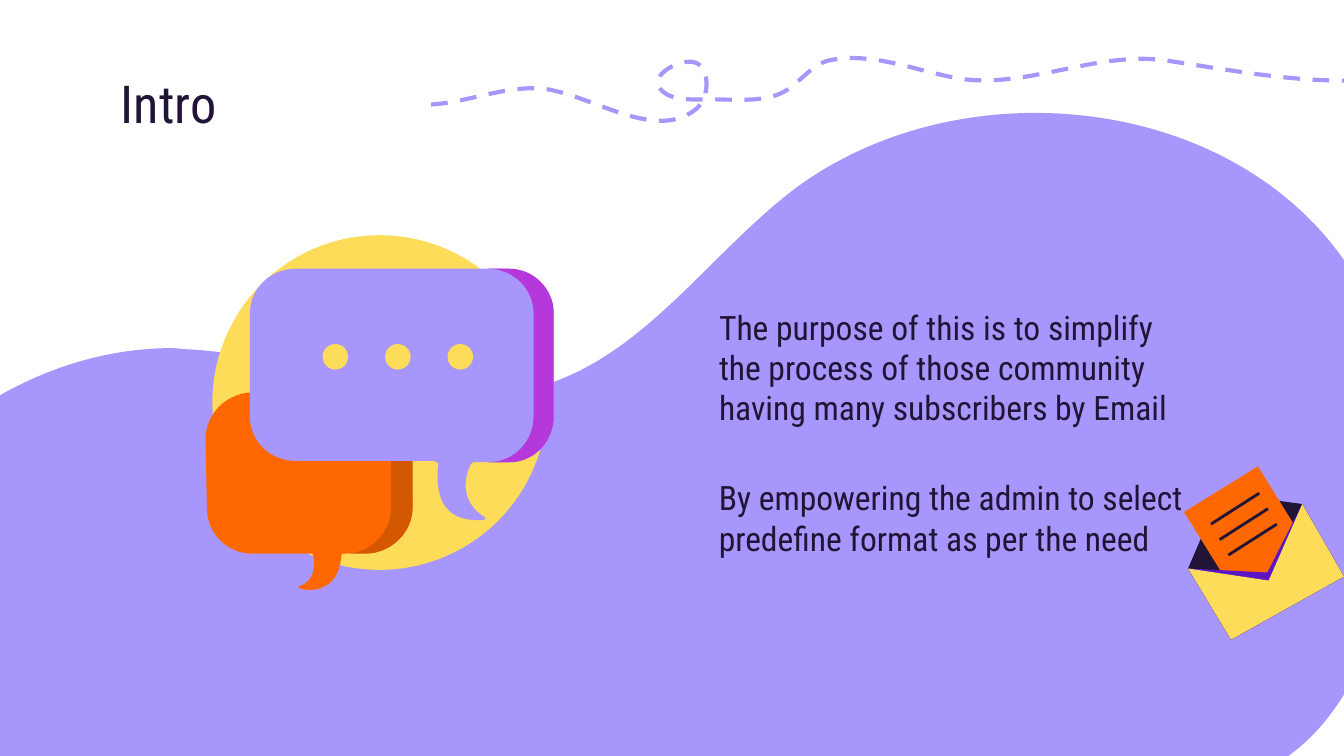
import dataclasses
from typing import Optional

import lxml.etree
import pptx
import pptx.dml.color
import pptx.enum.dml
import pptx.enum.shapes
import pptx.enum.text
import pptx.oxml.ns
import pptx.shapes.autoshape
import pptx.slide
import pptx.text.text
import pptx.util

RGBColor = pptx.dml.color.RGBColor
LAVENDER = RGBColor(0xA7, 0x97, 0xFC)
YELLOW = RGBColor(0xFC, 0xDC, 0x59)
ORANGE = RGBColor(0xFF, 0x67, 0x00)
RUST = RGBColor(0xD4, 0x57, 0x02)
MAGENTA = RGBColor(0xB5, 0x39, 0xDA)
VIOLET = RGBColor(0x5C, 0x14, 0xC4)
INK = RGBColor(0x21, 0x14, 0x36)

FONT = "Roboto Condensed"
WIDTH = pptx.util.Inches(10)
HEIGHT = pptx.util.Inches(5.625)
COLUMNS = 1000
CELL = WIDTH // COLUMNS  # the grid is square: a row is as high as a column is wide


@dataclasses.dataclass(frozen=True)
class Outline:
    """A start, then steps of two numbers (line) or six (cubic curve), in cells."""
    start: tuple[float, float]
    steps: list[tuple[float, ...]]
    fill: Optional[RGBColor] = None


@dataclasses.dataclass(frozen=True)
class Box:
    left: float
    top: float
    width: float
    height: float

    def lengths(self) -> list[int]:
        return [round(value * CELL) for value in dataclasses.astuple(self)]


WAVE = Outline((770, 84), [
    (864, 84, 957, 124, 1007, 204), (1066, 300, 1052, 534, 929, 578),
    (920, 581, 909, 583, 897, 583), (874, 583, 846, 578, 828, 578),
    (-49, 578), (-49, 329), (0, 286, 63, 259, 128, 259),
    (132, 259, 137, 260, 142, 260), (212, 264, 281, 295, 349, 295),
    (366, 295, 383, 293, 400, 288), (479, 266, 527, 189, 592, 140),
    (642, 103, 706, 84, 770, 84)], LAVENDER)

BUBBLES = [
    Outline((272, 292), [
        (187, 292), (168, 293, 153, 308, 153, 327), (154, 378),
        (154, 397, 169, 412, 188, 412), (231, 412),
        (232, 412, 233, 412, 233, 413), (234, 417, 236, 432, 223, 436),
        (222, 436, 222, 438, 223, 438), (225, 438, 227, 439, 230, 439),
        (240, 439, 253, 434, 254, 413), (254, 412, 254, 412, 255, 412),
        (273, 411), (292, 411, 307, 396, 307, 377), (306, 326),
        (306, 307, 291, 292, 272, 292)], ORANGE),
    Outline((257, 292), [
        (276, 292, 291, 307, 291, 326), (291, 378),
        (291, 396, 276, 412, 257, 412), (272, 412),
        (291, 412, 307, 396, 307, 378), (307, 326),
        (307, 307, 291, 292, 272, 292)], RUST),
    Outline((220, 200), [
        (201, 200, 186, 215, 186, 233), (186, 310),
        (186, 328, 201, 343, 220, 343), (323, 343),
        (325, 343, 327, 345, 326, 347), (325, 359, 324, 387, 355, 387),
        (357, 387, 358, 387, 360, 387), (361, 387, 362, 385, 361, 385),
        (354, 381, 340, 369, 350, 346), (351, 344, 352, 344, 353, 344),
        (379, 344), (397, 344, 412, 329, 412, 310), (412, 233),
        (412, 215, 397, 200, 379, 200)], LAVENDER),
    Outline((379, 200), [
        (363, 200), (382, 200, 397, 215, 397, 233), (397, 310),
        (397, 329, 382, 344, 363, 344), (379, 344),
        (397, 344, 412, 329, 412, 310), (412, 233),
        (412, 215, 397, 200, 379, 200)], MAGENTA),
]

FLIGHT_TRAIL = Outline((1075, 49), [
    (1009, 71, 935, 55, 867, 45), (817, 38, 767, 65, 717, 59),
    (684, 54, 650, 38, 617, 45), (603, 48, 594, 64, 580, 70),
    (565, 76, 547, 74, 530, 74), (516, 74, 496, 76, 490, 64),
    (485, 54, 511, 41, 520, 48), (529, 55, 527, 75, 517, 82),
    (488, 104, 445, 74, 410, 67), (379, 61, 347, 78, 315, 78)])

ENVELOPE_BASE = [(884, 423), (916, 476), (1000, 429), (969, 375)]
ENVELOPE = [
    Outline((908, 367), ENVELOPE_BASE, INK),
    Outline((936, 347), [(881, 381), (909, 426), (944, 432), (962, 389)], ORANGE),
    Outline((943, 426), ENVELOPE_BASE, VIOLET),
    Outline((944, 432), ENVELOPE_BASE, YELLOW),
]

PURPOSE = ("The purpose of this is to simplify the process of those community "
           "having many subscribers by Email")
METHOD = "By empowering the admin to select predefine format as per the need"


def bend(shape: pptx.shapes.autoshape.Shape, outline: Outline) -> None:
    """Join the three segments of each curved step into one cubic curve."""
    segments = iter(list(shape.element.iter(pptx.oxml.ns.qn("a:lnTo"))))
    for step in outline.steps:
        first, *others = [next(segments) for _ in range(len(step) // 2)]
        if others:
            first.addprevious(curve := first.makeelement(pptx.oxml.ns.qn("a:cubicBezTo")))
            for segment in (first, *others):
                curve.append(segment[0])
                segment.getparent().remove(segment)


def paint(shape: pptx.shapes.autoshape.Shape, color: RGBColor) -> None:
    shape.shadow.inherit = False
    shape.fill.solid()
    shape.fill.fore_color.rgb = color
    shape.line.fill.background()


def draw_outline(slide: pptx.slide.Slide, outline: Outline) -> pptx.shapes.autoshape.Shape:
    """Filled outlines are closed; those without a fill become dashed trails."""
    points = [step[i:i + 2] for step in outline.steps for i in range(0, len(step), 2)]
    builder = slide.shapes.build_freeform(*outline.start, scale=CELL)
    builder.add_line_segments(points, close=outline.fill is not None)
    shape = builder.convert_to_shape()
    bend(shape, outline)
    if outline.fill is not None:
        paint(shape, outline.fill)
    else:
        shape.shadow.inherit = False
        shape.fill.background()
        shape.line.color.rgb = LAVENDER
        shape.line.width = pptx.util.Pt(2.25)
        shape.line.dash_style = pptx.enum.dml.MSO_LINE.DASH
    return shape


def draw_circle(slide: pptx.slide.Slide, left: float, top: float, size: float) -> None:
    oval = pptx.enum.shapes.MSO_SHAPE.OVAL
    paint(slide.shapes.add_shape(oval, *Box(left, top, size, size).lengths()), YELLOW)


def draw_letter_line(slide: pptx.slide.Slide, left: float, bottom: float) -> None:
    ends = [round(value * CELL) for value in (left, bottom, left + 36, bottom - 23)]
    straight = pptx.enum.shapes.MSO_CONNECTOR.STRAIGHT
    connector = slide.shapes.add_connector(straight, *ends)
    connector.line.color.rgb = INK
    connector.line.width = pptx.util.Pt(1.5)
    lxml.etree.SubElement(connector.element.spPr, pptx.oxml.ns.qn("a:effectLst"))


def write(shape: pptx.shapes.autoshape.Shape, box: Box, text: str, size: float,
          space_after: float = 0) -> None:
    shape.left, shape.top, shape.width, shape.height = box.lengths()
    frame = shape.text_frame
    frame.text = text
    frame.word_wrap = True
    frame.auto_size = pptx.enum.text.MSO_AUTO_SIZE.NONE
    frame.vertical_anchor = pptx.enum.text.MSO_ANCHOR.TOP
    frame.margin_left = frame.margin_right = pptx.util.Inches(0.1)
    frame.margin_top = frame.margin_bottom = pptx.util.Inches(0.1)
    paragraph = frame.paragraphs[0]
    paragraph.alignment = pptx.enum.text.PP_ALIGN.LEFT
    paragraph.space_before = pptx.util.Pt(0)
    paragraph.space_after = pptx.util.Pt(space_after)
    paragraph.font.name = FONT
    paragraph.font.size = pptx.util.Pt(size)
    paragraph.font.color.rgb = INK
    remove_bullet(paragraph)


def remove_bullet(paragraph: pptx.text.text._Paragraph) -> None:
    properties = paragraph._p.get_or_add_pPr()
    properties.set("marL", "0")
    properties.set("indent", "0")
    bullet = properties.makeelement(pptx.oxml.ns.qn("a:buNone"))
    properties.find(pptx.oxml.ns.qn("a:spcAft")).addnext(bullet)


def main() -> None:
    presentation = pptx.Presentation()
    presentation.slide_width, presentation.slide_height = WIDTH, HEIGHT
    slide = presentation.slides.add_slide(presentation.slide_layouts[1])
    wave = draw_outline(slide, WAVE)
    slide.shapes.element.insert(2, wave.element)  # behind the placeholders
    write(slide.shapes.title, Box(80, 43, 806, 63), "Intro", 28)
    write(slide.placeholders[1], Box(525, 218, 369, 111), PURPOSE, 18, 16)
    method_box = Box(525, 345, 369, 111)
    write(slide.shapes.add_textbox(*method_box.lengths()), method_box, METHOD, 18, 16)
    draw_circle(slide, 158, 175, 249)
    for bubble in BUBBLES:
        draw_outline(slide, bubble)
    for index in range(3):
        draw_circle(slide, 240 + 46.5 * index, 256, 19)
    draw_outline(slide, FLIGHT_TRAIL)
    for part in ENVELOPE:
        draw_outline(slide, part)
    for index in range(3):
        draw_letter_line(slide, 901 + 6.5 * index, 390 + 11.5 * index)
    presentation.save("out.pptx")


if __name__ == "__main__":
    main()
